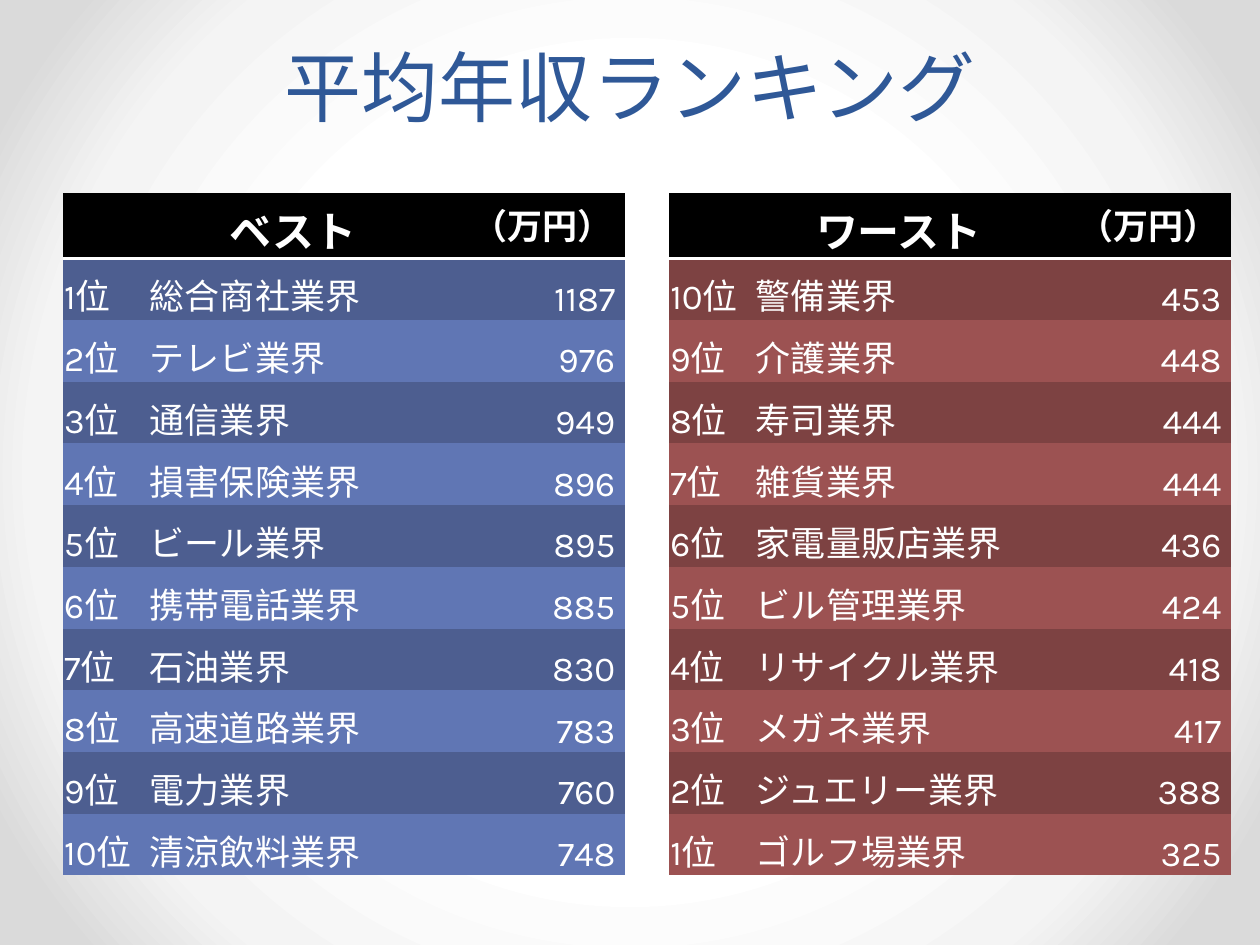
from dataclasses import dataclass
from typing import Iterable

from pptx import Presentation
from pptx.dml.color import RGBColor
from pptx.enum.text import MSO_ANCHOR as Anchor, PP_ALIGN as Align
from pptx.oxml import parse_xml
from pptx.oxml.ns import nsdecls, qn
from pptx.util import Pt

PX = 9144
COLORS = {
    "title": "2F5897", "header": "000000", "white": "FFFFFF",
    "best_dark": "4D5E90", "best_light": "6076B4",
    "worst_dark": "7D4242", "worst_light": "9C5252",
    "mist": "F4F4F4", "edge": "DADADA",
}
TOP = 153
COLUMNS = (68, 229, 149)
HEADER_HEIGHT, ROW_HEIGHT = 52, 49
NO_GRID_STYLE = "{2D5ABB26-0587-4C30-8999-92F81FD0307C}"


@dataclass(frozen=True)
class Industry:
    name: str
    income: int


@dataclass(frozen=True)
class Ranking:
    heading: str
    left: int
    bands: tuple[str, str]
    ranks: Iterable[int]
    industries: tuple[Industry, ...]


RANKINGS = (
    Ranking("ベスト", 50, ("best_dark", "best_light"), range(1, 11), (
        Industry("総合商社業界", 1187),
        Industry("テレビ業界", 976),
        Industry("通信業界", 949),
        Industry("損害保険業界", 896),
        Industry("ビール業界", 895),
        Industry("携帯電話業界", 885),
        Industry("石油業界", 830),
        Industry("高速道路業界", 783),
        Industry("電力業界", 760),
        Industry("清涼飲料業界", 748),
    )),
    Ranking("ワースト", 531, ("worst_dark", "worst_light"), range(10, 0, -1), (
        Industry("警備業界", 453),
        Industry("介護業界", 448),
        Industry("寿司業界", 444),
        Industry("雑貨業界", 444),
        Industry("家電量販店業界", 436),
        Industry("ビル管理業界", 424),
        Industry("リサイクル業界", 418),
        Industry("メガネ業界", 417),
        Industry("ジュエリー業界", 388),
        Industry("ゴルフ場業界", 325),
    )),
)


def rgb(color: str) -> RGBColor:
    """Look up a named colour."""
    return RGBColor.from_string(COLORS[color])


def add_run(paragraph, text: str, size: int, color: str, font: str = "Karla", bold: bool = False) -> None:
    """Append one formatted run."""
    run = paragraph.add_run()
    run.text = text
    run.font.name, run.font.size, run.font.bold = font, Pt(size), bold
    run.font.color.rgb = rgb(color)


def paint_background(slide) -> None:
    """Lay a round gradient from a white centre to grey corners."""
    stops = "".join(
        f'<a:gs pos="{percent * 1000}"><a:srgbClr val="{COLORS[color]}"/></a:gs>'
        for percent, color in ((50, "white"), (76, "mist"), (92, "edge"))
    )
    slide.element.cSld.insert(0, parse_xml(
        f'<p:bg {nsdecls("p", "a")}><p:bgPr><a:gradFill rotWithShape="1"><a:gsLst>{stops}</a:gsLst>'
        '<a:path path="circle"><a:fillToRect l="50000" t="50000" r="50000" b="50000"/></a:path>'
        "</a:gradFill><a:effectLst/></p:bgPr></p:bg>"
    ))


def add_title(slide) -> None:
    """Write the slide title."""
    frame = slide.shapes.add_textbox(50 * PX, 0, 900 * PX, 110 * PX).text_frame
    frame.word_wrap = True
    frame.vertical_anchor = Anchor.BOTTOM
    title = frame.paragraphs[0]
    title.alignment, title.line_spacing = Align.CENTER, Pt(58)
    add_run(title, "平均年収", 44, "title", "Arial")
    add_run(title, "ランキング", 44, "title")


def fill_cell(cell, color: str, text: str, align: Align, size: int = 20, bold: bool = False) -> None:
    """Colour a cell and write its text."""
    cell.fill.solid()
    cell.fill.fore_color.rgb = rgb(color)
    paragraph = cell.text_frame.paragraphs[0]
    paragraph.alignment = align
    if text:
        add_run(paragraph, text, size, "white", bold=bold)


def underline_cell(cell) -> None:
    """Draw a white rule below a header cell."""
    cell._tc.get_or_add_tcPr().insert(0, parse_xml(
        f'<a:lnB {nsdecls("a")} w="{Pt(2)}"><a:solidFill>'
        f'<a:srgbClr val="{COLORS["white"]}"/></a:solidFill></a:lnB>'
    ))


def add_ranking(slide, ranking: Ranking) -> None:
    """Build one ranking table."""
    count = len(ranking.industries)
    holder = slide.shapes.add_table(
        count + 1, len(COLUMNS), ranking.left * PX, TOP * PX,
        sum(COLUMNS) * PX, (HEADER_HEIGHT + count * ROW_HEIGHT) * PX,
    )
    table = holder.table
    table.horz_banding = False
    for style in holder.element.iter(qn("a:tableStyleId")):
        style.text = NO_GRID_STYLE
    for column, width in zip(table.columns, COLUMNS):
        column.width = width * PX
    for index, row in enumerate(table.rows):
        row.height = (ROW_HEIGHT if index else HEADER_HEIGHT) * PX

    headings = (("", Align.LEFT, 20), (ranking.heading, Align.CENTER, 24), ("（万円）", Align.RIGHT, 20))
    for cell, (text, align, size) in zip(table.rows[0].cells, headings):
        fill_cell(cell, "header", text, align, size, bold=True)
        underline_cell(cell)

    for index, (rank, industry) in enumerate(zip(ranking.ranks, ranking.industries)):
        entries = (
            (f"{rank}位", Align.LEFT),
            (industry.name, Align.LEFT),
            (f"{industry.income} ", Align.RIGHT),
        )
        for cell, (text, align) in zip(table.rows[index + 1].cells, entries):
            fill_cell(cell, ranking.bands[index % 2], text, align)
            cell.vertical_anchor = Anchor.BOTTOM
            cell.margin_left = cell.margin_right = cell.margin_top = PX
            cell.margin_bottom = 0


def main() -> None:
    """Build and save the income ranking slide."""
    deck = Presentation()
    deck.slide_width, deck.slide_height = 1000 * PX, 750 * PX
    slide = deck.slides.add_slide(deck.slide_layouts[6])
    paint_background(slide)
    add_title(slide)
    for ranking in RANKINGS:
        add_ranking(slide, ranking)
    deck.save("out.pptx")


if __name__ == "__main__":
    main()
